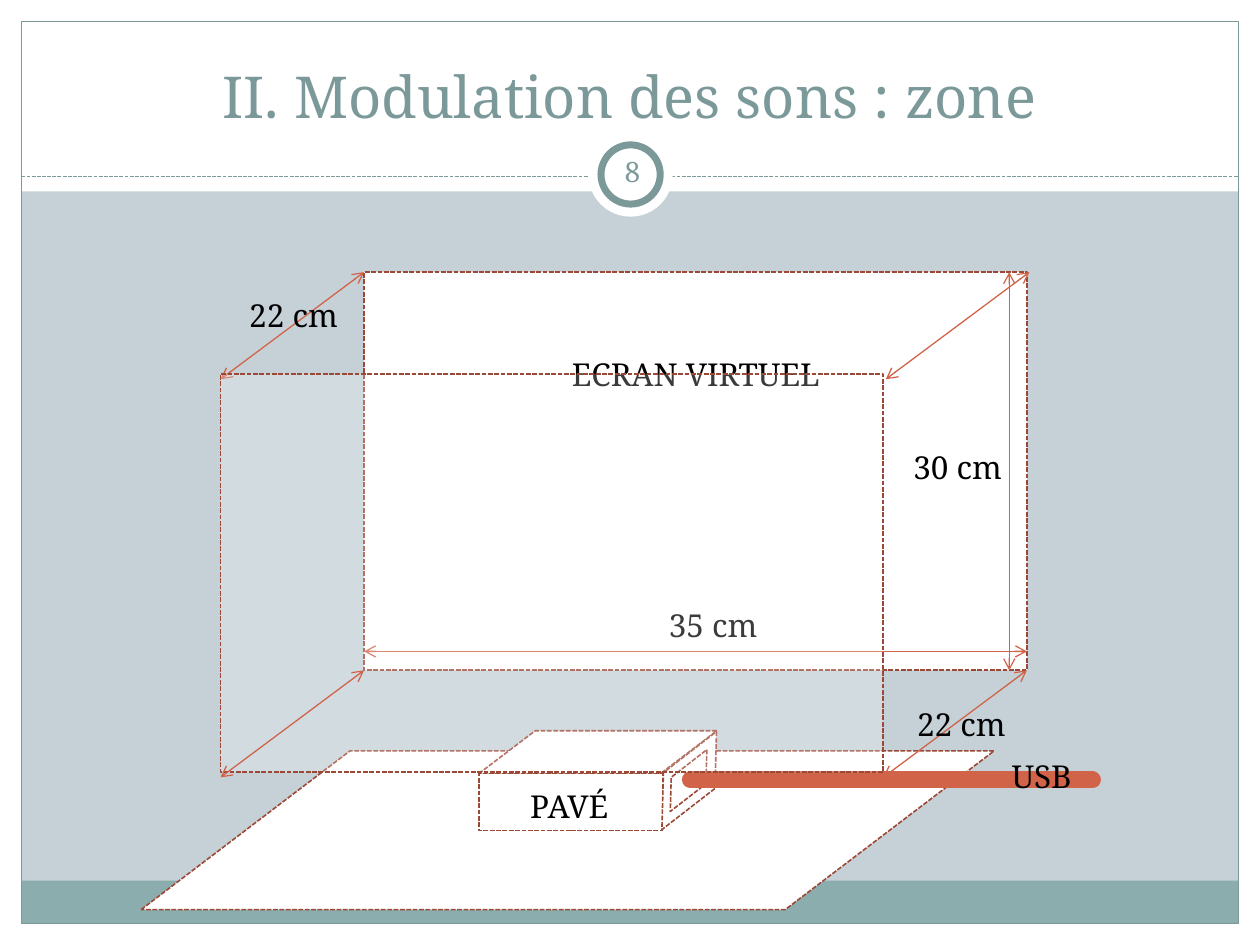
from pptx import Presentation
from pptx.dml.color import RGBColor
from pptx.enum.dml import MSO_LINE
from pptx.enum.shapes import MSO_CONNECTOR, MSO_SHAPE
from pptx.enum.text import MSO_ANCHOR, PP_ALIGN
from pptx.oxml.ns import qn
from pptx.util import Inches, Pt
from lxml.etree import SubElement

WHITE = RGBColor(0xFF, 0xFF, 0xFF)
BLACK = RGBColor(0, 0, 0)
SKY = RGBColor(0xC5, 0xD1, 0xD7)
TEAL = RGBColor(0x8C, 0xAD, 0xAE)
SLATE = RGBColor(0x7C, 0x99, 0x9A)
RUST = RGBColor(0x9B, 0x49, 0x36)
CORAL = RGBColor(0xD1, 0x63, 0x49)
FONT = "Noto Serif"


def add_block(shapes, kind, left, top, width, height, fill=None, line=None, weight=0.75):
    """Add a preset shape with an optional fill and outline."""
    block = shapes.add_shape(kind, Inches(left), Inches(top), Inches(width), Inches(height))
    block.shadow.inherit = False
    if fill is None:
        block.fill.background()
    else:
        block.fill.solid()
        block.fill.fore_color.rgb = fill
    if line is None:
        block.line.fill.background()
    else:
        block.line.color.rgb = line
        block.line.width = Pt(weight)
    return block


def add_face(shapes, kind, left, top, width, height, slant=None, turn=0):
    """Add a white face with a dashed rust outline."""
    face = add_block(shapes, kind, left, top, width, height, WHITE, RUST, 0.9)
    face.line.dash_style = MSO_LINE.SQUARE_DOT
    face.rotation = turn
    if slant is not None:
        face.adjustments[0] = slant
    return face


def add_stroke(shapes, start, end, color=CORAL, weight=0.75, arrows=False):
    """Add a straight line, with open arrowheads at both ends if asked."""
    stroke = shapes.add_connector(MSO_CONNECTOR.STRAIGHT, *map(Inches, start + end))
    stroke.line.color.rgb = color
    stroke.line.width = Pt(weight)
    if arrows:
        for tip in ("a:headEnd", "a:tailEnd"):
            SubElement(stroke.line._get_or_add_ln(), qn(tip), type="arrow")
    SubElement(stroke._element.spPr, qn("a:effectLst"))
    return stroke


def add_label(shapes, text, left, top, width, height=0.4, size=18, color=BLACK,
              align=PP_ALIGN.LEFT, anchor=MSO_ANCHOR.TOP, inset=0.1):
    """Add a one-line text box."""
    label = shapes.add_textbox(Inches(left), Inches(top), Inches(width), Inches(height))
    frame = label.text_frame
    frame.word_wrap = True
    frame.vertical_anchor = anchor
    frame.margin_left = frame.margin_right = Inches(inset)
    paragraph = frame.paragraphs[0]
    paragraph.alignment = align
    run = paragraph.add_run()
    run.text = text
    run.font.size = Pt(size)
    run.font.name = FONT
    run.font.color.rgb = color


def add_frame(shapes, width, height, margin=0.17):
    """Draw the page margins, heading band, footer band and border."""
    inner = width - 2 * margin
    for bounds in ((0, height - margin, width, margin), (0, 0, width, 1.52),
                   (0, 0, margin, height), (width - margin, 0, margin, height)):
        add_block(shapes, MSO_SHAPE.RECTANGLE, *bounds, WHITE)
    add_block(shapes, MSO_SHAPE.RECTANGLE, margin, height - margin - 0.34, inner, 0.34, TEAL)
    add_block(shapes, MSO_SHAPE.RECTANGLE, margin, margin, inner, height - 2 * margin, line=SLATE)
    divider = add_stroke(shapes, (margin, 1.4), (width - margin, 1.4), SLATE)
    divider.line.dash_style = MSO_LINE.SQUARE_DOT


def add_heading(shapes, title, left, top, width, height):
    """Write the slide title in its box."""
    add_label(shapes, title, left, top, width, height, 33, SLATE,
              PP_ALIGN.CENTER, MSO_ANCHOR.BOTTOM)


def add_number_badge(shapes, number, left, top, size):
    """Draw the ringed slide number."""
    add_block(shapes, MSO_SHAPE.OVAL, left, top, size, size, WHITE)
    ring = size - 0.2
    add_block(shapes, MSO_SHAPE.OVAL, left + 0.1, top + 0.1, ring, ring, WHITE, SLATE, 4)
    add_label(shapes, number, left + 0.1, top + 0.07, 0.5, 0.48, 16, SLATE,
              PP_ALIGN.CENTER, MSO_ANCHOR.MIDDLE, 0.05)


def add_sensor(shapes, left, top):
    """Draw the sensor box with its USB port and cable."""
    body = shapes.add_group_shape().shapes
    add_face(body, MSO_SHAPE.PARALLELOGRAM, left, top, 1.89, 0.34, 1.316)
    add_face(body, MSO_SHAPE.RECTANGLE, left, top + 0.34, 1.46, 0.45)
    add_face(body, MSO_SHAPE.PARALLELOGRAM, left + 1.26, top + 0.22, 0.82, 0.35, 0.819, 142.2)
    add_label(shapes, "PAVÉ", left + 0.31, top + 0.4, 1.02)
    add_face(shapes, MSO_SHAPE.PARALLELOGRAM, left + 1.4, top + 0.29, 0.53, 0.21, 0.819, 142.2)
    cable_y = top + 0.39
    cable = add_stroke(shapes, (left + 1.68, cable_y), (left + 4.87, cable_y), weight=9.75)
    cable.line._get_or_add_ln().set("cap", "rnd")
    add_label(shapes, "USB", left + 4.13, top + 0.16, 0.7)


def add_zone(shapes, left, top, width, height, shift=1.14, drop=0.81):
    """Draw the detection zone: virtual screen, front face and dimensions."""
    right, bottom = left + width, top + height
    add_face(shapes, MSO_SHAPE.RECTANGLE, left, top, width, height)
    add_label(shapes, "ECRAN VIRTUEL", left + 1.55, top + 0.61, 2.29)
    add_label(shapes, "30 cm", right - 1, top + 1.35, 0.95)
    add_label(shapes, "35 cm", left + 2.32, bottom - 0.56, 1.23)
    add_stroke(shapes, (left, bottom - 0.15), (right, bottom - 0.15), arrows=True)
    add_stroke(shapes, (right - 0.14, top), (right - 0.14, bottom), arrows=True)

    def add_depth(x, y):
        """Draw one depth arrow from the back face to the front face."""
        add_stroke(shapes, (x, y), (x - shift, y + 0.85), arrows=True)

    add_depth(left, top)
    add_label(shapes, "22 cm", left - 1.01, top + 0.14, 1.1)
    front = add_face(shapes, MSO_SHAPE.RECTANGLE, left - shift, top + drop, width, height)
    tint = front._element.spPr.find(qn("a:solidFill"))[0]
    SubElement(tint, qn("a:alpha"), val="23000")
    for x, y in ((right + 0.02, top), (right, bottom), (left, bottom)):
        add_depth(x, y)
    add_label(shapes, "22 cm", right - 0.97, bottom + 0.23, 1.1)


def main():
    """Build and save the slide."""
    deck = Presentation()
    deck.slide_width, deck.slide_height = Inches(10), Inches(7.5)
    slide = deck.slides.add_slide(deck.slide_layouts[6])
    slide.background.fill.solid()
    slide.background.fill.fore_color.rgb = SKY
    shapes = slide.shapes
    add_frame(shapes, 10, 7.5)
    add_number_badge(shapes, "8", 4.67, 1.05, 0.67)
    add_heading(shapes, "II. Modulation des sons : zone", 0.33, 0.25, 9.33, 0.83)
    add_face(shapes, MSO_SHAPE.PARALLELOGRAM, 1.12, 5.96, 6.77, 1.26, 1.316)
    add_sensor(shapes, 3.8, 5.8)
    add_zone(shapes, 2.89, 2.16, 5.26, 3.16)
    deck.save("out.pptx")


main()
